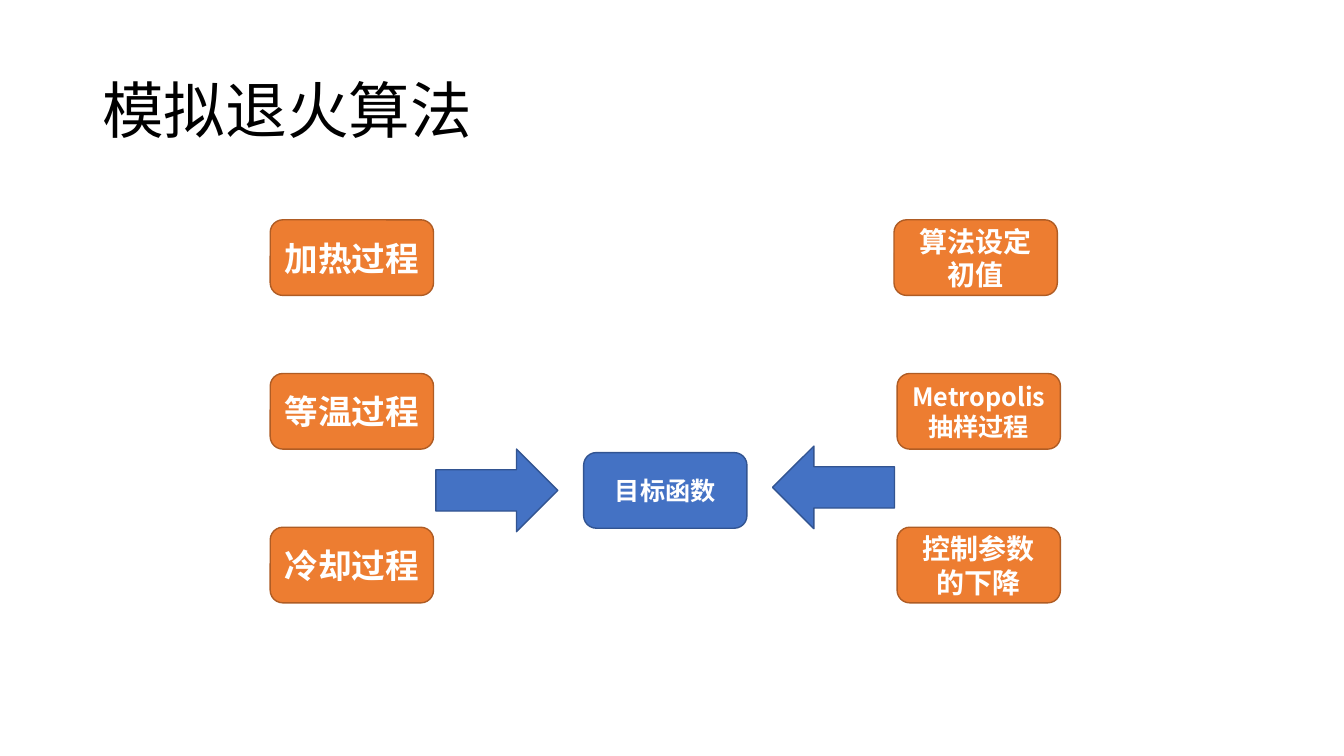
from lxml.etree import SubElement
from pptx import Presentation
from pptx.dml.color import RGBColor
from pptx.enum.shapes import MSO_SHAPE as SHAPE
from pptx.enum.text import MSO_ANCHOR as ANCHOR, PP_ALIGN as ALIGN
from pptx.oxml.ns import qn
from pptx.util import Pt

BLACK = RGBColor(0x00, 0x00, 0x00)
WHITE = RGBColor(0xFF, 0xFF, 0xFF)
ORANGE = RGBColor(0xED, 0x7D, 0x31)
ORANGE_LINE = RGBColor(0xAF, 0x5C, 0x24)
BLUE = RGBColor(0x44, 0x72, 0xC4)
BLUE_LINE = RGBColor(0x32, 0x54, 0x91)


class Deck:
    """Draws titles, boxes and block arrows in one style on the current slide."""

    FONT = "Noto Sans CJK SC"
    BOX = (116.64, 54)
    ARROW = (59, 87.1)

    def __init__(self, width, height):
        self.prs = Presentation()
        self.prs.slide_width, self.prs.slide_height = Pt(width), Pt(height)
        self.s = self.prs.slides.add_slide(self.prs.slide_layouts[6])

    def label(self, sp, text, size, color, bold, align):
        tf = sp.text_frame
        tf.word_wrap = True
        tf.vertical_anchor = ANCHOR.MIDDLE
        p = tf.paragraphs[0]
        p.alignment = align
        r = p.add_run()
        r.text = text
        style = {"name": self.FONT, "size": Pt(size), "bold": bold}
        for key, value in style.items():
            setattr(r.font, key, value)
        r.font.color.rgb = color
        SubElement(r._r.get_or_add_rPr(), qn("a:ea"), typeface=self.FONT)
        return p

    def title(self, text, x, y, w, h):
        sp = self.s.shapes.add_textbox(Pt(x), Pt(y), Pt(w), Pt(h))
        p = self.label(sp, text, 44, BLACK, False, ALIGN.LEFT)
        p.line_spacing = 0.9

    def shape(self, kind, x, y, size, fill, line):
        w, h = size
        sp = self.s.shapes.add_shape(kind, Pt(x), Pt(y), Pt(w), Pt(h))
        sp.shadow.inherit = False
        sp.fill.solid()
        sp.fill.fore_color.rgb = fill
        sp.line.color.rgb = line
        sp.line.width = Pt(1)
        return sp

    def box(self, text, x, y, size, fill=ORANGE, line=ORANGE_LINE):
        sp = self.shape(SHAPE.ROUNDED_RECTANGLE, x, y, self.BOX, fill, line)
        self.label(sp, text, size, WHITE, True, ALIGN.CENTER)

    def arrow(self, x, y, rotation):
        sp = self.shape(SHAPE.DOWN_ARROW, x, y, self.ARROW, BLUE, BLUE_LINE)
        sp.rotation = rotation


def main():
    deck = Deck(960, 540)
    deck.title("模拟退火算法", 66, 28.8, 828, 104.4)

    top, step = 157, 109.8
    annealing = ["加热过程", "等温过程", "冷却过程"]
    algorithm = [
        ("算法设定初值", 638.6, 20),
        ("Metropolis抽样过程", 640.8, 18),
        ("控制参数的下降", 640.8, 20),
    ]
    for row, (left_text, (right_text, x, size)) in enumerate(zip(annealing, algorithm)):
        y = top + row * step
        deck.box(left_text, 193, y, 24)
        deck.box(right_text, x, y, size)

    deck.box("目标函数", 416.9, 323.3, 18, BLUE, BLUE_LINE)
    deck.arrow(325.4, 306.7, 270)
    deck.arrow(565.9, 304.6, 90)
    deck.prs.save("out.pptx")


if __name__ == "__main__":
    main()
